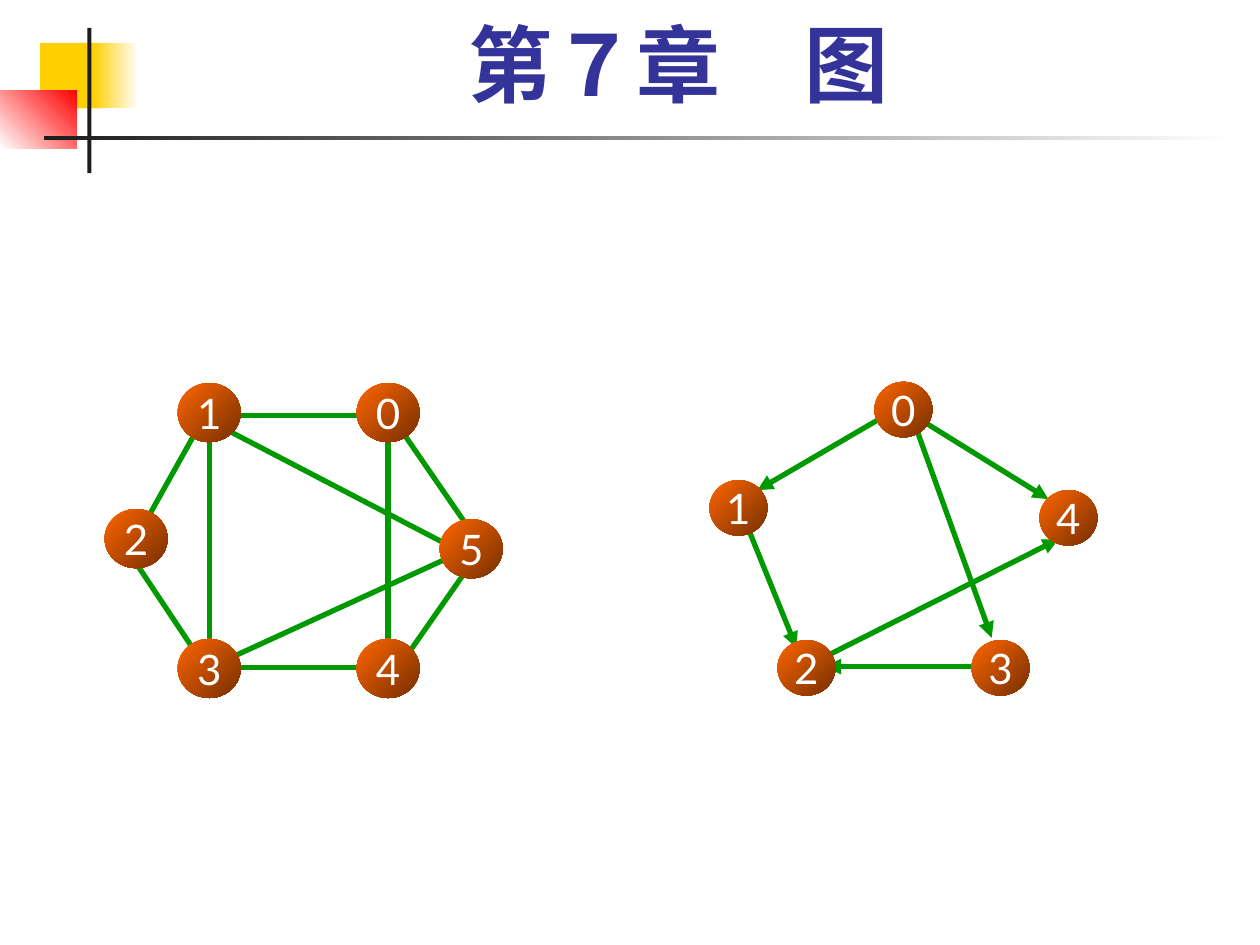
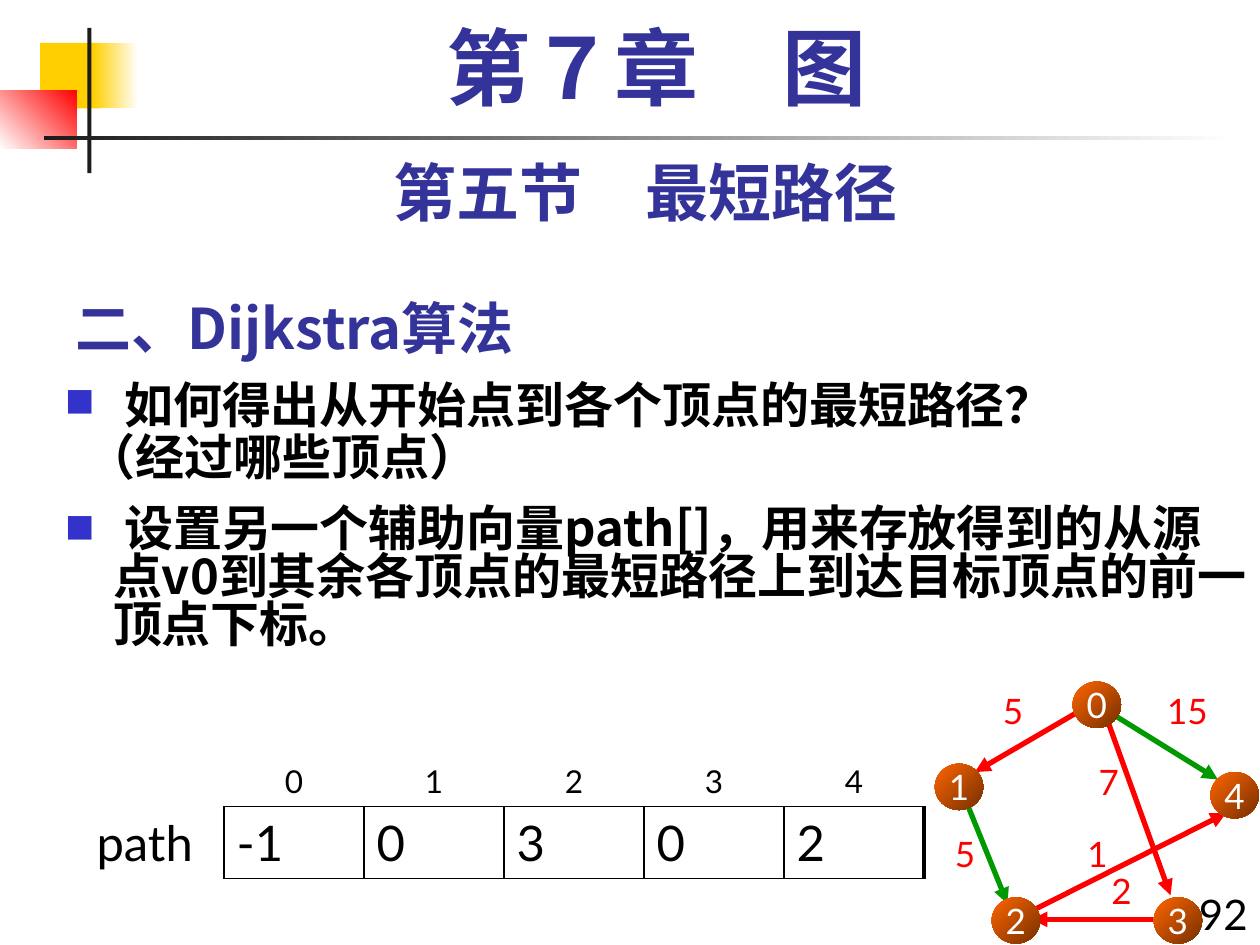
from lxml.etree import SubElement
from pptx import Presentation
from pptx.dml.color import RGBColor
from pptx.enum.shapes import MSO_CONNECTOR, MSO_SHAPE
from pptx.enum.text import MSO_ANCHOR, MSO_AUTO_SIZE, PP_ALIGN
from pptx.oxml.ns import qn
from pptx.util import Pt

HUE = {
    "gold": "FFCF01", "white": "FFFFFF", "red": "FF0000", "ink": "1C1C1C",
    "green": "009900", "flame": "FF6600", "rust": "762F00",
    "navy": "333399", "blue": "3333CC", "black": "000000",
}
SANS, SERIF, HAN = "Lato", "Times New Roman", "Noto Sans CJK SC"
NO_GRID = "{2D5ABB26-0587-4C30-8999-92F81FD0307C}"
CHAPTER = "第７章\u3000图"
SECTION = "第五节\u3000最短路径"
TOPIC = "二、Dijkstra算法"

BANDS = [
    ((23, 24.5, 34.5, 37.5), ("gold",), 0),
    ((53, 24.5, 26, 37.5), ("gold", "white"), 0),
    ((0, 51.5, 44, 33.5), ("white", "red"), 315),
    ((50, 16, 2.2, 83), ("ink",), 0),
    ((25, 77.7, 680.5, 2.3), ("ink", "white"), 0),
]

RING = {
    "size": (36, 33.8),
    "nodes": {"1": (41.8, 0), "3": (41.8, 146.2), "2": (0, 72),
              "5": (191.5, 77.8), "4": (144, 146.2), "0": (144, 0)},
    "edges": {
        "0-1": (149.8, 18.7, 77.8, 18.7),
        "0-4": (162, 31, 162, 150.5),
        "0-5": (167.8, 24.5, 209.5, 85),
        "1-2": (54, 24.5, 23.8, 78.5),
        "3-1": (59.8, 157, 59.8, 31),
        "5-1": (203.8, 96.5, 65.5, 24.5),
        "3-2": (54, 157, 18, 103),
        "4-3": (155.5, 162.7, 65.5, 162.7),
        "5-3": (203.8, 96.5, 72, 157),
        "5-4": (209.5, 103, 167.8, 162.7),
    },
}
ROUTE = {
    "size": (33.1, 31.7),
    "nodes": {"1": (0, 56.2), "3": (149.8, 147.6), "2": (38.9, 147.6),
              "4": (188.6, 61.9), "0": (94.3, 0)},
    "edges": {
        "0-4": (121.7, 22.3, 193.7, 67),
        "1-2": (22.3, 84.2, 49.7, 151.9),
        "0-1": (105.1, 16.6, 27.4, 61.9),
        "0-3": (116.6, 22.3, 161.3, 146.2),
        "3-2": (149.8, 162.7, 66.2, 162.7),
        "2-4": (66.2, 157, 199.4, 90),
    },
}
CHOSEN = ("0-1", "0-3", "3-2", "2-4")
COSTS = [
    ("5", 561.6, 390.2, 34.6), ("5", 534.2, 472.3, 34.6),
    ("15", 650.9, 390.2, 55.4), ("1", 609.8, 472.3, 34.6),
    ("7", 616.3, 431.3, 34.6), ("2", 623.5, 493.2, 34.6),
]

POINTS = [
    (" 如何得出从开始点到各个顶点的最短路径？",
     {"lead": 0.6, "bullet": True, "hang": -27.4}),
    ("（经过哪些顶点）", {"lead": 0.6, "before": 10, "hang": -15}),
    (" 设置另一个辅助向量path[]，用来存放得到的从源点v0到其余各顶点的"
     "最短路径上到达目标顶点的前一顶点下标。",
     {"lead": 0.82, "before": 14, "bullet": True, "hang": -27.4}),
]
GRID = [["", "0", "1", "2", "3", "4"], ["path", "-1", "0", "3", "0", "2"]]


def tint(name):
    return RGBColor.from_string(HUE[name])


def say(para, text, size=20, color="black", font=SANS, bold=False,
        align=PP_ALIGN.LEFT, lead=None, before=0, hang=None, bullet=False):
    para.alignment = align
    para.space_before = Pt(before)
    if lead:
        para.line_spacing = lead
    if hang is not None:
        props = para._p.get_or_add_pPr()
        props.set("marL", str(Pt(27.4)))
        props.set("indent", str(Pt(hang)))
        if bullet:
            mark = SubElement(props, qn("a:buClr"))
            SubElement(mark, qn("a:srgbClr"), val=HUE["blue"])
            SubElement(props, qn("a:buSzPct"), val="60000")
            SubElement(props, qn("a:buFont"), typeface=HAN)
            SubElement(props, qn("a:buChar"), char="■")
        else:
            SubElement(props, qn("a:buNone"))
    run = para.add_run()
    run.text = text
    run.font.size = Pt(size)
    run.font.bold = bold
    run.font.color.rgb = tint(color)
    run.font.name = font
    SubElement(run.font._element, qn("a:ea"), typeface=HAN)


def place(shape, box):
    shape.left, shape.top, shape.width, shape.height = map(Pt, box)


def label(slide, box, text, **style):
    frame = slide.shapes.add_textbox(*map(Pt, box)).text_frame
    frame.word_wrap = True
    say(frame.paragraphs[0], text, **style)


def head(slide, box, text, **style):
    title = slide.shapes.title
    place(title, box)
    frame = title.text_frame
    frame.auto_size = MSO_AUTO_SIZE.NONE
    frame.vertical_anchor = MSO_ANCHOR.BOTTOM
    say(frame.paragraphs[0], text, color="navy", bold=True, **style)


def draw(slide, kind, box, colors, angle=0):
    shape = slide.shapes.add_shape(kind, *map(Pt, box))
    shape.shadow.inherit = False
    shape.line.fill.background()
    if len(colors) == 1:
        shape.fill.solid()
        shape.fill.fore_color.rgb = tint(colors[0])
    else:
        shape.fill.gradient()
        shape.fill.gradient_angle = (360 - angle) % 360
        for stop, name in zip(shape.fill.gradient_stops, colors):
            stop.color.rgb = tint(name)
    return shape


def dress(slide, master):
    for num, (box, colors, angle) in enumerate(BANDS):
        band = draw(slide, MSO_SHAPE.RECTANGLE, box, colors, angle).element
        band.xpath(".//p:cNvPr")[0].set("id", str(20 + num))
        master.shapes.element.insert(2 + num, band)


def link(slide, ends, color, arrow):
    line = slide.shapes.add_connector(MSO_CONNECTOR.STRAIGHT, *map(Pt, ends))
    line.line.width = Pt(3)
    line.line.color.rgb = tint(color)
    if arrow:
        SubElement(line.line._get_or_add_ln(), qn("a:tailEnd"), type="triangle")
    SubElement(line.element.spPr, qn("a:effectLst"))


def graph(slide, net, left, top, scale=1, size=24, arrow=False, chosen=()):
    for name, (ax, ay, bx, by) in net["edges"].items():
        ends = (left + ax * scale, top + ay * scale,
                left + bx * scale, top + by * scale)
        link(slide, ends, "red" if name in chosen else "green", arrow)
    wide, high = (side * scale for side in net["size"])
    for name, (x, y) in net["nodes"].items():
        box = (left + x * scale, top + y * scale, wide, high)
        node = draw(slide, MSO_SHAPE.OVAL, box, ("flame", "rust"), 45)
        frame = node.text_frame
        frame.margin_left = frame.margin_right = 0
        frame.word_wrap = False
        frame.vertical_anchor = MSO_ANCHOR.MIDDLE
        say(frame.paragraphs[0], name, size=size, color="white",
            align=PP_ALIGN.CENTER)


def rule(cell, sides):
    props = cell._tc.get_or_add_tcPr()
    for side in "LRTB":
        if side in sides:
            line = SubElement(props, qn("a:ln" + side), w=str(Pt(sides[side])))
            fill = SubElement(line, qn("a:solidFill"))
            SubElement(fill, qn("a:srgbClr"), val=HUE["black"])


def edges(row, col):
    if row == 0:
        return {"B": 1} if col else {}
    if col == 0:
        return {"R": 1}
    return {"L": 1, "R": 2.25 if col == len(GRID[0]) - 1 else 1, "T": 1, "B": 1}


def grid(slide):
    rows, cols = len(GRID), len(GRID[0])
    frame = slide.shapes.add_table(
        rows, cols, Pt(48), Pt(420), Pt(80 * cols), Pt(41 * rows))
    frame.element.xpath(".//a:tableStyleId")[0].text = NO_GRID
    table = frame.table
    table.first_row = table.horz_banding = False
    for r, line in enumerate(GRID):
        for c, text in enumerate(line):
            cell = table.cell(r, c)
            rule(cell, edges(r, c))
            cell.fill.background()
            cell.vertical_anchor = MSO_ANCHOR.TOP if r else MSO_ANCHOR.BOTTOM
            if text:
                say(cell.text_frame.paragraphs[0], text, size=28 if r else 18,
                    align=PP_ALIGN.LEFT if r else PP_ALIGN.CENTER)


def points(slide):
    body = slide.placeholders[1]
    place(body, (30, 222, 690, 318))
    frame = body.text_frame
    frame.auto_size = MSO_AUTO_SIZE.NONE
    for num, (text, style) in enumerate(POINTS):
        para = frame.add_paragraph() if num else frame.paragraphs[0]
        say(para, text, size=28, font=HAN, bold=True, **style)


def main():
    deck = Presentation()
    deck.slide_width, deck.slide_height = Pt(720), Pt(540)
    big = {"size": 48, "font": SERIF, "align": PP_ALIGN.CENTER, "lead": 0.9}

    first = deck.slides.add_slide(deck.slide_layouts[5])
    dress(first, deck.slide_master)
    head(first, (78, 15, 620, 54), CHAPTER, **big)
    graph(first, RING, 59.8, 218.9)
    graph(first, ROUTE, 405.4, 218.2, arrow=True)

    second = deck.slides.add_slide(deck.slide_layouts[1])
    head(second, (36, 156, 684, 54), TOPIC, size=32, font=HAN)
    label(second, (672, 504, 48, 36), "92", size=24, align=PP_ALIGN.RIGHT)
    label(second, (36, 84, 666, 50), SECTION, size=36, color="navy",
          bold=True, align=PP_ALIGN.CENTER)
    points(second)
    label(second, (48, 12, 654, 60), CHAPTER, color="navy", bold=True, **big)
    graph(second, ROUTE, 534.2, 389.5, scale=0.835, size=20, arrow=True,
          chosen=CHOSEN)
    for text, x, y, wide in COSTS:
        label(second, (x, y, wide, 31), text, color="red",
              align=PP_ALIGN.CENTER)
    grid(second)
    deck.save("out.pptx")


if __name__ == "__main__":
    main()
